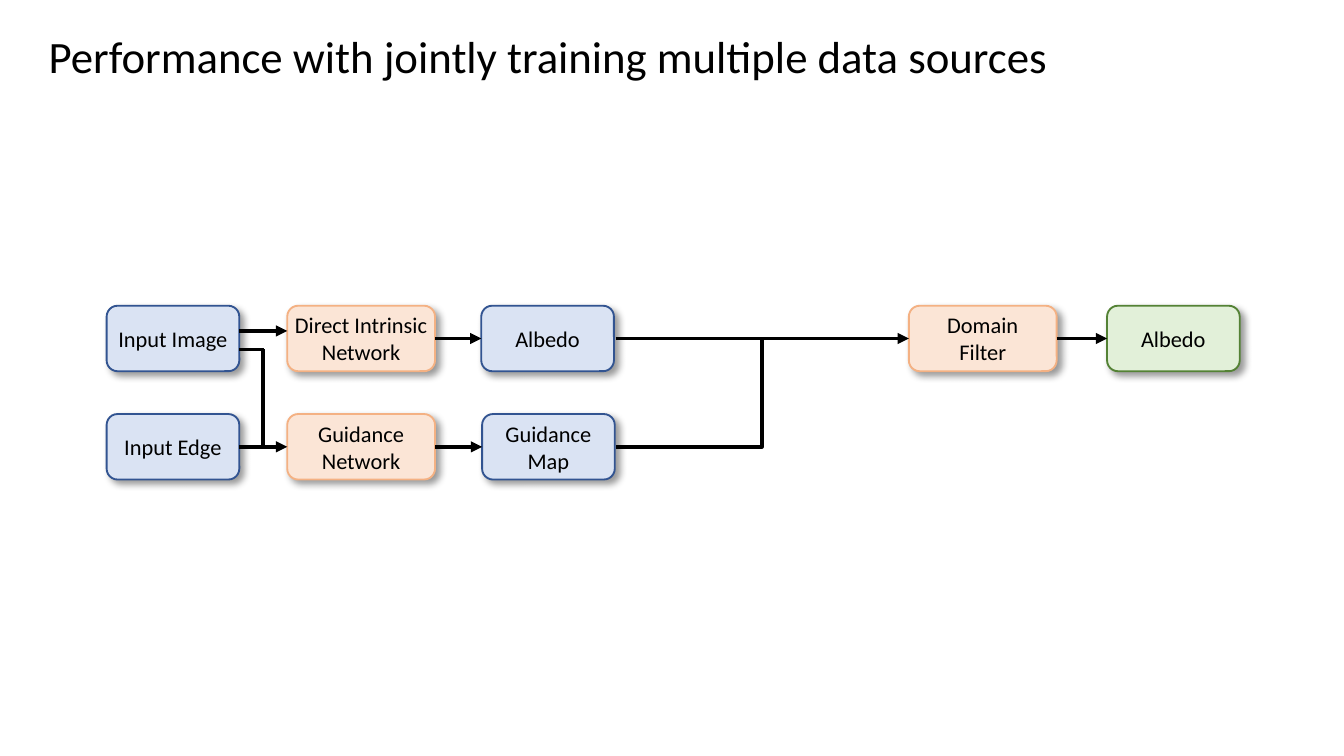
from pptx import Presentation
from pptx import util as u
from pptx.dml.color import RGBColor
from pptx.enum import shapes, text
from pptx.oxml import parse_xml
from pptx.oxml.ns import nsdecls
from lxml import etree

PX = 5715  # EMU per px, 160 px to the inch
FONT = "Calibri"
BLACK = RGBColor(0x00, 0x00, 0x00)
BLUE = (RGBColor(0xDA, 0xE3, 0xF3), RGBColor(0x32, 0x54, 0x91))
ORANGE = (RGBColor(0xFB, 0xE5, 0xD6), RGBColor(0xF4, 0xB1, 0x83))
GREEN = (RGBColor(0xE2, 0xF0, 0xD9), RGBColor(0x54, 0x82, 0x35))

BOX_H = 78
DATA_W, NETWORK_W = 158, 176
ROWS = (0, 129)
INPUT_X, NETWORK_X, RESULT_X, FILTER_X, OUTPUT_X = 0, 215, 446, 955, 1191
LEFT, RIGHT = 1, 3  # connection sites

SHADOW = (
    f'<a:outerShdw {nsdecls("a")} blurRad="50800" dist="38100" dir="2700000" '
    'algn="tl" rotWithShape="0"><a:srgbClr val="000000">'
    '<a:alpha val="40000"/></a:srgbClr></a:outerShdw>'
)


def px(*lengths):
    return [u.Emu(length * PX) for length in lengths]


def format_runs(frame, size):
    for paragraph in frame.paragraphs:
        for run in paragraph.runs:
            run.font.name = FONT
            run.font.size = u.Pt(size)
            run.font.color.rgb = BLACK


def add_title(slide, x, y, w, h):
    title = slide.shapes.title
    title.left, title.top, title.width, title.height = px(x, y, w, h)
    frame = title.text_frame
    frame.text = "Performance with jointly training multiple data sources"
    frame.word_wrap = True
    frame.auto_size = text.MSO_AUTO_SIZE.NONE
    frame.vertical_anchor = text.MSO_ANCHOR.TOP
    frame.paragraphs[0].alignment = text.PP_ALIGN.LEFT
    format_runs(frame, 24)


def add_stage(slide, label, x, y, w, colors, inset=16):
    stage = slide.shapes.add_shape(
        shapes.MSO_SHAPE.ROUNDED_RECTANGLE, *px(x, y, w, BOX_H))
    fill, outline = colors
    stage.fill.solid()
    stage.fill.fore_color.rgb = fill
    stage.line.color.rgb = outline
    stage.line.width = u.Pt(1)
    stage.shadow.inherit = False
    effects = stage._element.spPr.find("{*}effectLst")
    effects.append(parse_xml(SHADOW))
    frame = stage.text_frame
    frame.text = label
    frame.word_wrap = True
    frame.vertical_anchor = text.MSO_ANCHOR.MIDDLE
    frame.margin_left, frame.margin_right = px(inset, inset)
    frame.margin_top, frame.margin_bottom = px(8, 8)
    frame.paragraphs[0].alignment = text.PP_ALIGN.CENTER
    format_runs(frame, 12)
    return stage


def add_line(slide, x1=0, y1=0, x2=0, y2=0, source=None, target=None, arrow=False):
    """Draw a line; a source or target stage overrides that end's position."""
    line = slide.shapes.add_connector(
        shapes.MSO_CONNECTOR.STRAIGHT, *px(x1, y1, x2, y2))
    if source is not None:
        line.begin_connect(source, RIGHT)
    if target is not None:
        line.end_connect(target, LEFT)
    line.line.color.rgb = BLACK
    line.line.width = u.Pt(2)
    if arrow:
        line.line._get_or_add_ln().append(
            parse_xml(f'<a:tailEnd {nsdecls("a")} type="triangle"/>'))
    properties = line._element.spPr
    etree.SubElement(properties, properties.find("{*}ln").tag.replace("}ln", "}effectLst"))


def add_pipeline(slide, x, y):
    top, bottom = (y + row for row in ROWS)
    top_mid, bottom_mid = top + BOX_H // 2, bottom + BOX_H // 2

    image = add_stage(slide, "Input Image", x + INPUT_X, top, DATA_W, BLUE, 8)
    direct = add_stage(slide, "Direct Intrinsic Network", x + NETWORK_X, top,
                       NETWORK_W, ORANGE, 5)
    guidance = add_stage(slide, "Guidance Network", x + NETWORK_X, bottom,
                         NETWORK_W, ORANGE)
    edge = add_stage(slide, "Input Edge", x + INPUT_X, bottom, DATA_W, BLUE)
    albedo = add_stage(slide, "Albedo", x + RESULT_X, top, DATA_W, BLUE)
    guidance_map = add_stage(slide, "Guidance Map", x + RESULT_X + 1, bottom,
                             DATA_W, BLUE)
    domain_filter = add_stage(slide, "Domain Filter", x + FILTER_X, top,
                              NETWORK_W, ORANGE)
    output = add_stage(slide, "Albedo", x + OUTPUT_X, top, DATA_W, GREEN)

    for source, target in ((edge, guidance), (direct, albedo),
                           (guidance, guidance_map), (domain_filter, output)):
        add_line(slide, source=source, target=target, arrow=True)

    # The input image feeds both networks
    image_right = x + INPUT_X + DATA_W
    branch_x, branch_y = x + 186, top + 52
    add_line(slide, image_right, top + 30, x + NETWORK_X, top + 30, arrow=True)
    add_line(slide, image_right, branch_y, branch_x + 1, branch_y)
    add_line(slide, branch_x, branch_y, branch_x, bottom_mid)

    # Albedo and guidance map merge ahead of the filter
    merge = slide.shapes.add_shape(
        shapes.MSO_SHAPE.RIGHT_BRACKET,
        *px(x + 606, top_mid, 174, bottom_mid - top_mid))
    merge.adjustments[0] = 0
    merge.fill.background()
    merge.line.color.rgb = BLACK
    merge.line.width = u.Pt(2)
    merge.shadow.inherit = False
    add_line(slide, x + 627, top_mid, x + 934, top_mid)
    add_line(slide, x + 894, top_mid, target=domain_filter, arrow=True)


def main():
    deck = Presentation()
    deck.slide_width, deck.slide_height = px(1600, 900)
    slide = deck.slides.add_slide(deck.slide_layouts.get_by_name("Title Only"))
    add_title(slide, 42, 26, 1512, 80)
    add_pipeline(slide, 127, 364)
    deck.save("out.pptx")


if __name__ == "__main__":
    main()
